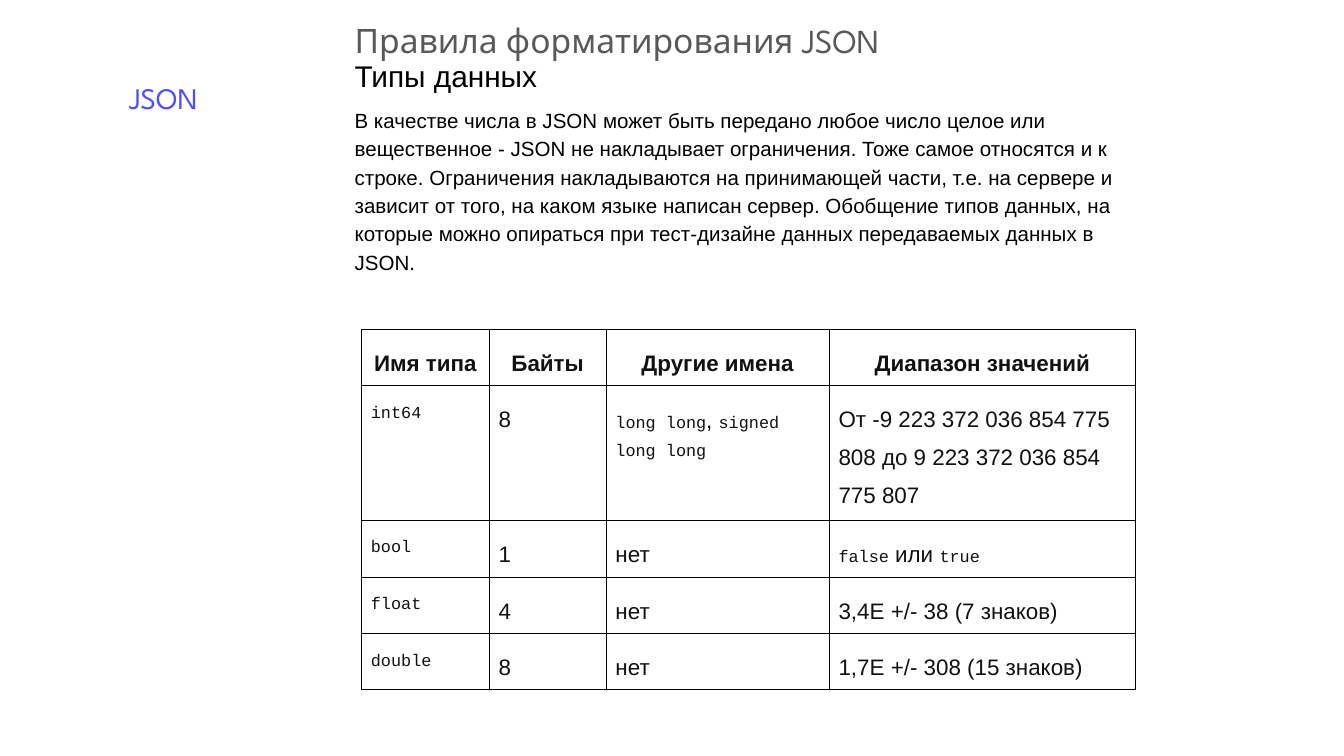
from typing import NamedTuple

from lxml.etree import SubElement
from pptx import Presentation
from pptx.dml.color import RGBColor
from pptx.enum.text import MSO_ANCHOR, MSO_AUTO_SIZE, PP_ALIGN
from pptx.oxml.ns import qn
from pptx.util import Inches, Pt

BLACK = RGBColor(0x00, 0x00, 0x00)
INK = RGBColor(0x11, 0x11, 0x11)
GRAY = RGBColor(0x59, 0x59, 0x59)
VIOLET = RGBColor(0x4F, 0x4F, 0xF4)

PAGE_WIDTH = 10
PAGE_HEIGHT = PAGE_WIDTH * 9 / 16

COLUMN_WIDTHS = (0.95, 0.87, 1.66, 2.28)
ROW_HEIGHTS = (0.42, 1, 0.42, 0.42, 0.42)
HEADERS = ("Имя типа", "Байты", "Другие имена", "Диапазон значений")

BODY_TEXT = (
    "В качестве числа в JSON может быть передано любое число целое или "
    "вещественное - JSON не накладывает ограничения. Тоже самое относятся и к "
    "строке. Ограничения накладываются на принимающей части, т.е. на сервере и "
    "зависит от того, на каком языке написан сервер. Обобщение типов данных, "
    "на которые можно опираться при тест-дизайне данных передаваемых данных в JSON."
)


class Style(NamedTuple):
    font: str
    size: float
    color: RGBColor
    bold: bool = False


class Span(NamedTuple):
    text: str
    style: Style


TITLE = Style("League Spartan", 16, VIOLET)
HEADING = Style("League Spartan", 18, GRAY)
SUBHEADING = Style("Arial", 16, BLACK)
BODY = Style("Arial", 11, BLACK)
HEADER = Style("Arial", 12, INK, True)
PLAIN = Style("Arial", 12, INK)
CODE = Style("Courier New", 9, INK)


class DataType(NamedTuple):
    name: str
    size: str
    aliases: tuple[Span, ...]
    value_range: tuple[Span, ...]

    def cells(self) -> list[tuple[Span, ...]]:
        return [(Span(self.name, CODE),), (Span(self.size, PLAIN),),
                self.aliases, self.value_range]


NO_ALIASES = (Span("нет", PLAIN),)
DATA_TYPES = (
    DataType("int64", "8",
             (Span("long long", CODE), Span(", ", PLAIN), Span("signed long long", CODE)),
             (Span("От -9 223 372 036 854 775 808 до 9 223 372 036 854 775 807", PLAIN),)),
    DataType("bool", "1", NO_ALIASES,
             (Span("false", CODE), Span(" или ", PLAIN), Span("true", CODE))),
    DataType("float", "4", NO_ALIASES, (Span("3,4E +/- 38 (7 знаков)", PLAIN),)),
    DataType("double", "8", NO_ALIASES, (Span("1,7E +/- 308 (15 знаков)", PLAIN),)),
)


def write(para, *spans: Span, line_spacing: float = 1.0, align=PP_ALIGN.LEFT) -> None:
    para.alignment = align
    para.line_spacing = line_spacing
    para.space_before = para.space_after = Pt(0)
    for span in spans:
        run = para.add_run()
        run.text = span.text
        font = run.font
        font.name, font.size, font.bold = span.style.font, Pt(span.style.size), span.style.bold
        font.color.rgb = span.style.color


def set_frame(box, left: float, top: float, width: float, height: float,
              anchor=MSO_ANCHOR.TOP):
    """Place a text shape and return its prepared text frame."""
    box.left, box.top = Inches(left), Inches(top)
    box.width, box.height = Inches(width), Inches(height)
    frame = box.text_frame
    frame.word_wrap = True
    frame.auto_size = MSO_AUTO_SIZE.NONE
    frame.vertical_anchor = anchor
    frame.margin_left = frame.margin_right = Inches(0.1)
    frame.margin_top = frame.margin_bottom = Inches(0.1)
    return frame


def set_borders(cell) -> None:
    properties = cell._tc.get_or_add_tcPr()
    for index, side in enumerate(("a:lnL", "a:lnR", "a:lnT", "a:lnB")):
        line = SubElement(properties, qn(side), w=str(Pt(0.5)))
        fill = SubElement(line, qn("a:solidFill"))
        SubElement(fill, qn("a:srgbClr"), val=str(BLACK))
        properties.insert(index, line)


def fill_cell(cell, spans: tuple[Span, ...], align) -> None:
    cell.fill.background()
    cell.vertical_anchor = MSO_ANCHOR.TOP
    cell.margin_left = cell.margin_right = Inches(0.07)
    cell.margin_top = cell.margin_bottom = Inches(0.07)
    set_borders(cell)
    write(cell.text_frame.paragraphs[0], *spans, line_spacing=1.5, align=align)


def add_type_table(page) -> None:
    rows = [[(Span(label, HEADER),) for label in HEADERS]]
    rows += [data_type.cells() for data_type in DATA_TYPES]
    table = page.shapes.add_table(
        len(rows), len(HEADERS), Inches(2.69), Inches(2.45),
        Inches(sum(COLUMN_WIDTHS)), Inches(sum(ROW_HEIGHTS))).table
    table.first_row = table.horz_banding = False
    for column, width in zip(table.columns, COLUMN_WIDTHS):
        column.width = Inches(width)
    for row_index, (row, height) in enumerate(zip(rows, ROW_HEIGHTS)):
        table.rows[row_index].height = Inches(height)
        align = PP_ALIGN.LEFT if row_index else PP_ALIGN.CENTER
        for column_index, spans in enumerate(row):
            fill_cell(table.cell(row_index, column_index), spans, align)


def add_text_box(page, left: float, top: float, width: float, height: float,
                 anchor=MSO_ANCHOR.TOP):
    box = page.shapes.add_textbox(0, 0, 0, 0)
    return set_frame(box, left, top, width, height, anchor)


def main() -> None:
    deck = Presentation()
    deck.slide_width, deck.slide_height = Inches(PAGE_WIDTH), Inches(PAGE_HEIGHT)
    page = deck.slides.add_slide(deck.slide_layouts[5])

    title = set_frame(page.shapes.title, 0.86, 0.49, 1.69, 1.12)
    write(title.paragraphs[0], Span("JSON", TITLE))

    heading = add_text_box(page, 2.54, 0, 6.05, 0.49)
    write(heading.paragraphs[0], Span("Правила форматирования JSON", HEADING),
          line_spacing=1.15)

    add_type_table(page)

    body = add_text_box(page, 2.54, 0.55, 6.05, 1.76, MSO_ANCHOR.MIDDLE)
    body.margin_bottom = Inches(0.53)
    write(body.paragraphs[0], Span("Типы данных", SUBHEADING), line_spacing=1.15)
    para = body.add_paragraph()
    write(para, Span(BODY_TEXT, BODY), line_spacing=1.15)
    para.space_before = Pt(6)

    deck.save("out.pptx")


if __name__ == "__main__":
    main()
